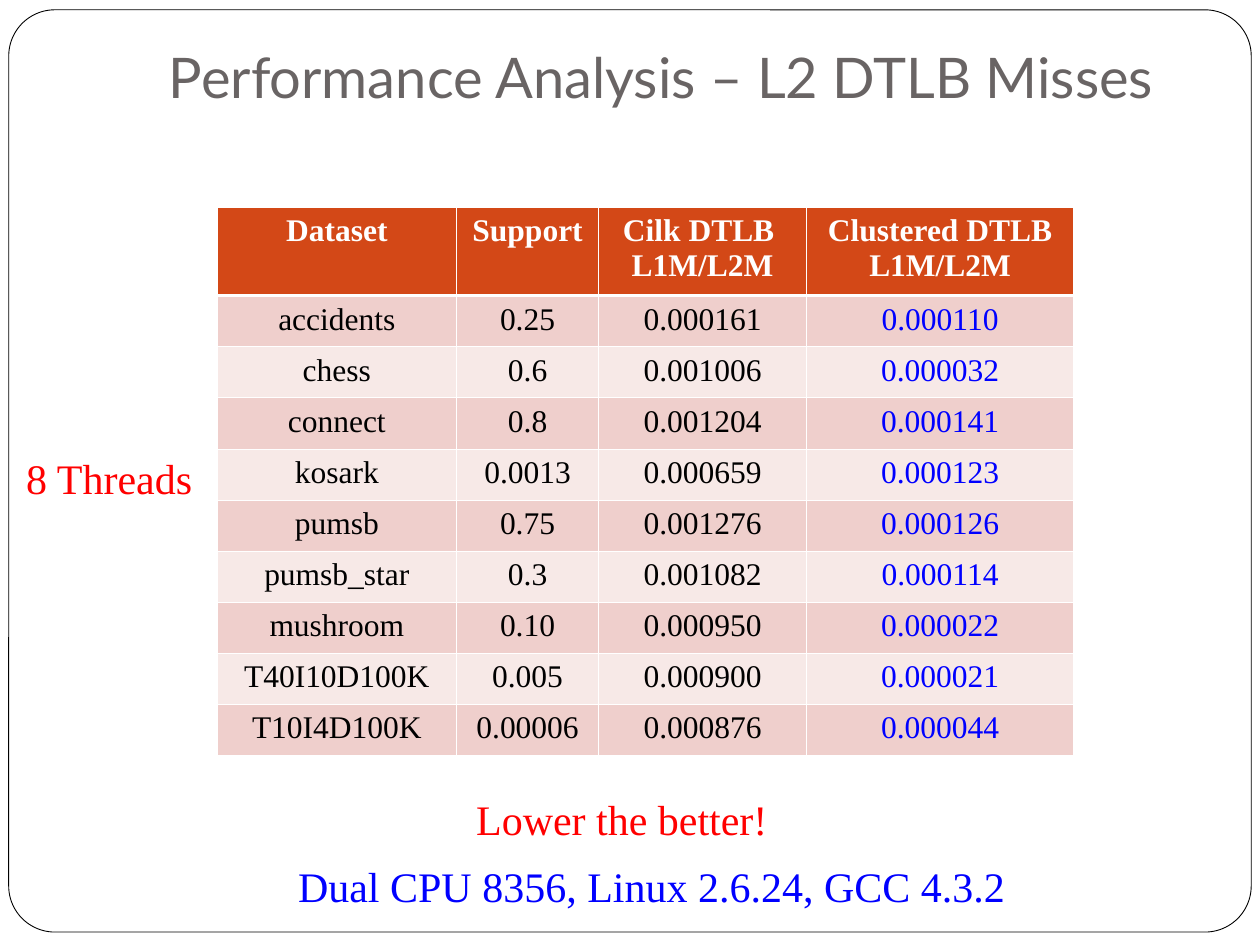
"""Build the slide on L2 DTLB misses, with its table of results."""
from lxml.etree import SubElement
from pptx import Presentation
from pptx.dml.color import RGBColor
from pptx.enum.shapes import MSO_SHAPE as Shape
from pptx.enum.text import MSO_ANCHOR as Anchor, PP_ALIGN as Align
from pptx.oxml.ns import qn
from pptx.util import Pt

SERIF = "Times New Roman"
RED, BLUE, WHITE, BLACK = "FF0000", "0000FF", "FFFFFF", "000000"
HEADER_FILL, BANDS = "D34817", ("EFCFCC", "F7E9E7")

TITLE = "Performance Analysis – L2 DTLB Misses"
HEADINGS = ("Dataset", "Support", "Cilk DTLB \nL1M/L2M", "Clustered DTLB\nL1M/L2M")
RESULTS = [
    ("accidents", "0.25", "0.000161", "0.000110"),
    ("chess", "0.6", "0.001006", "0.000032"),
    ("connect", "0.8", "0.001204", "0.000141"),
    ("kosark", "0.0013", "0.000659", "0.000123"),
    ("pumsb", "0.75", "0.001276", "0.000126"),
    ("pumsb_star", "0.3", "0.001082", "0.000114"),
    ("mushroom", "0.10", "0.000950", "0.000022"),
    ("T40I10D100K", "0.005", "0.000900", "0.000021"),
    ("T10I4D100K", "0.00006", "0.000876", "0.000044"),
]
COLUMN_WIDTHS = (137, 81, 119, 152.5)
HEADER_HEIGHT, ROW_HEIGHT = 50.4, 29.2
NOTES = [
    ("8 Threads", (7.9, 254.9, 125.3, 36), RED, Align.LEFT, False),
    ("Lower the better!", (265, 450, 208.8, 36), RED, Align.LEFT, False),
    ("Dual CPU 8356, Linux 2.6.24, GCC 4.3.2", (103, 488.2, 538.6, 36), BLUE, Align.CENTER, True),
]


def rgb(value):
    return RGBColor.from_string(value)


def style_text(frame, size, color, align=Align.CENTER, face=SERIF, bold=False):
    for paragraph in frame.paragraphs:
        paragraph.alignment = align
        font = paragraph.font
        font.name, font.size, font.bold = face, Pt(size), bold
        font.color.rgb = rgb(color)


def add_text(slide, text, box, size, color, align, face=SERIF, wrap=True):
    frame = slide.shapes.add_textbox(*map(Pt, box)).text_frame
    frame.text, frame.word_wrap = text, wrap
    style_text(frame, size, color, align, face)
    return frame


def set_borders(cell, top, bottom):
    properties = cell._tc.get_or_add_tcPr()
    for position, (side, width) in enumerate((("L", 0.45), ("R", 0.45), ("T", top), ("B", bottom))):
        line = SubElement(properties, qn(f"a:ln{side}"), w=str(Pt(width)))
        SubElement(SubElement(line, qn("a:solidFill")), qn("a:srgbClr"), val=WHITE)
        properties.insert(position, line)


def add_results(slide):
    rows = [HEADINGS, *RESULTS]
    height = HEADER_HEIGHT + ROW_HEIGHT * len(RESULTS)
    table = slide.shapes.add_table(len(rows), len(HEADINGS), Pt(124), Pt(118.5),
                                   Pt(sum(COLUMN_WIDTHS)), Pt(height)).table
    for column, width in zip(table.columns, COLUMN_WIDTHS):
        column.width = Pt(width)
    for r, values in enumerate(rows):
        header = r == 0
        table.rows[r].height = Pt(HEADER_HEIGHT if header else ROW_HEIGHT)
        for c, value in enumerate(values):
            cell = table.cell(r, c)
            cell.text = value
            cell.fill.solid()
            cell.fill.fore_color.rgb = rgb(HEADER_FILL if header else BANDS[(r - 1) % 2])
            color = WHITE if header else BLUE if c == len(HEADINGS) - 1 else BLACK
            style_text(cell.text_frame, 18, color, bold=header)
            set_borders(cell, 1.47 if r == 1 else 0.45, 1.47 if header else 0.45)


def main():
    deck = Presentation()
    deck.slide_width, deck.slide_height = Pt(720), Pt(540)
    slide = deck.slides.add_slide(deck.slide_layouts[6])

    border = slide.shapes.add_shape(Shape.ROUNDED_RECTANGLE, Pt(5), Pt(5.6), Pt(710), Pt(527))
    border.adjustments[0] = 0.05
    border.shadow.inherit = False
    border.fill.solid()
    border.fill.fore_color.rgb = rgb(WHITE)
    border.line.color.rgb = rgb(BLACK)
    border.line.width = Pt(0.5)

    title = add_text(slide, TITLE, (72, 7.2, 612, 62.6), 32, "696464", Align.CENTER, "Lato")
    title.vertical_anchor = Anchor.BOTTOM
    title.margin_bottom = Pt(7.2)

    add_results(slide)
    for text, box, color, align, wrap in NOTES:
        add_text(slide, text, box, 24, color, align, wrap=wrap)
    deck.save("out.pptx")


if __name__ == "__main__":
    main()
